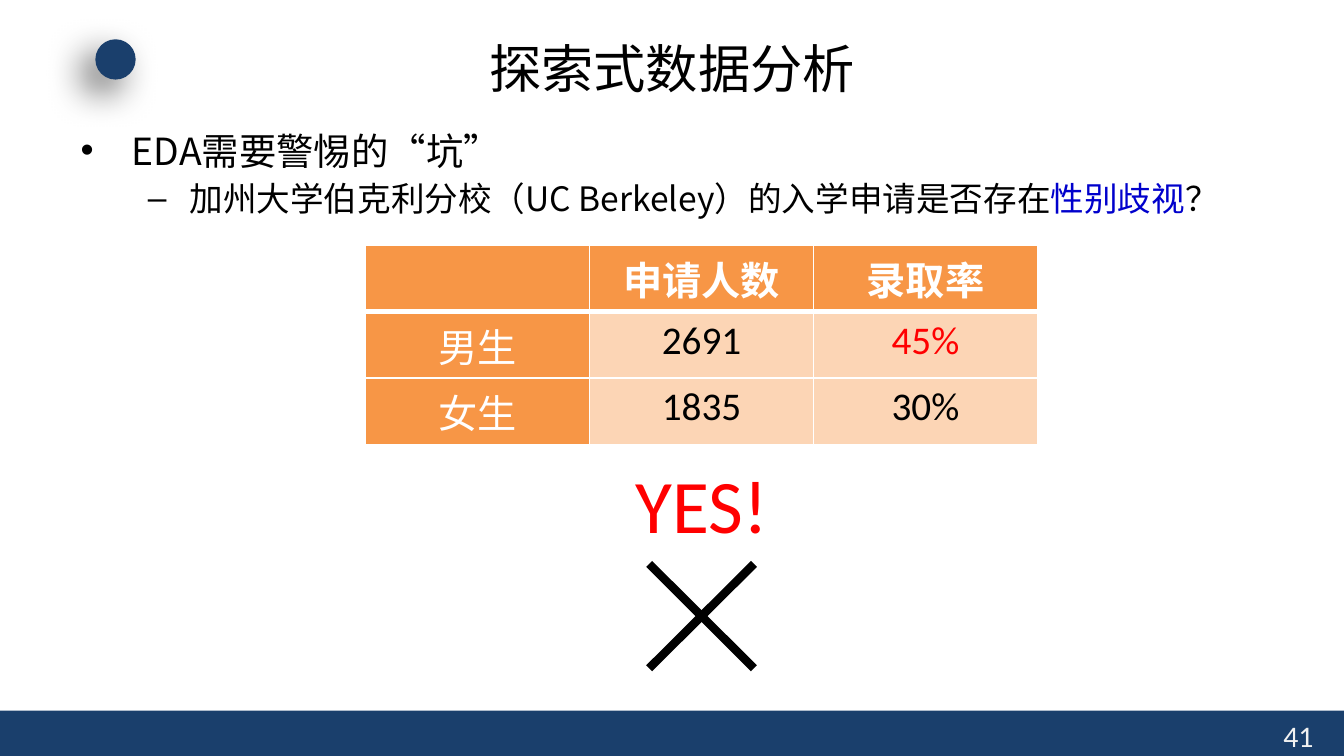
"""Builds a slide on a pitfall of exploratory data analysis."""
import dataclasses
import typing

import lxml.etree
import pptx
import pptx.dml.color
import pptx.enum.shapes
import pptx.enum.text
import pptx.oxml.ns
import pptx.util

WIDTH = 10
HEIGHT = WIDTH * 9 / 16
COLOURS = {
    "navy": "1A3F6C", "black": "000000", "white": "FFFFFF", "pale": "F2F2F2",
    "blue": "0000CC", "red": "FF0000", "orange": "F79646", "peach": "FCD5B5",
}
HAN, LATIN = "Noto Sans CJK SC", "Calibri"
CENTER = pptx.enum.text.PP_ALIGN.CENTER
Inches, Pt, qn = pptx.util.Inches, pptx.util.Pt, pptx.oxml.ns.qn


@dataclasses.dataclass(frozen=True)
class Area:
    """Left, top, width and height in percent of the slide's size."""
    left: float
    top: float
    width: float
    height: float

    def lengths(self) -> tuple:
        return (Inches(self.left * WIDTH / 100), Inches(self.top * HEIGHT / 100),
                Inches(self.width * WIDTH / 100), Inches(self.height * HEIGHT / 100))


@dataclasses.dataclass(frozen=True)
class Words:
    text: str
    size: float
    colour: str = "black"
    font: str = HAN
    bold: bool = False


@dataclasses.dataclass(frozen=True)
class Point:
    bullet: str
    level: int
    margin: float
    hanging: float
    words: tuple


POINTS = (
    Point("•", 0, 0.38, 0.38, (Words("EDA需要警惕的“坑”", 20),)),
    Point("–", 1, 0.81, 0.31, (
        Words("加州大学伯克利分校（UC Berkeley）的入学申请是否存在", 18),
        Words("性别歧视", 18, "blue"),
        Words("？", 18))),
)
ADMISSIONS = (("", "申请人数", "录取率"), ("男生", "2691", "45%"), ("女生", "1835", "30%"))


def rgb(name: str) -> pptx.dml.color.RGBColor:
    return pptx.dml.color.RGBColor.from_string(COLOURS[name])


def child(parent: typing.Any, tag: str, **attributes: typing.Any) -> typing.Any:
    values = {key: str(value) for key, value in attributes.items()}
    return lxml.etree.SubElement(parent, qn(tag), values)


def write(paragraph: typing.Any, words: Words) -> None:
    run = paragraph.add_run()
    run.text = words.text
    run.font.size, run.font.bold, run.font.name = Pt(words.size), words.bold, words.font
    run.font.color.rgb = rgb(words.colour)
    child(run.font._element, "a:ea", typeface=HAN)


def place(shape: typing.Any, area: Area) -> None:
    shape.left, shape.top, shape.width, shape.height = area.lengths()


def draw_shape(slide: typing.Any, kind: typing.Any, area: Area) -> typing.Any:
    shape = slide.shapes.add_shape(kind, *area.lengths())
    shape.shadow.inherit = False
    shape.fill.solid()
    shape.fill.fore_color.rgb = rgb("navy")
    shape.line.fill.background()
    return shape


def draw_text(slide: typing.Any, area: Area, words: Words, align: typing.Any) -> None:
    frame = slide.shapes.add_textbox(*area.lengths()).text_frame
    frame.word_wrap = True
    frame.paragraphs[0].alignment = align
    write(frame.paragraphs[0], words)


def draw_decoration(slide: typing.Any) -> None:
    kinds = pptx.enum.shapes.MSO_SHAPE
    draw_shape(slide, kinds.RECTANGLE, Area(0, 94, 100, 6))
    draw_text(slide, Area(94.5, 94, 5, 5.3),
              Words("41", 16, "pale", LATIN), pptx.enum.text.PP_ALIGN.LEFT)
    dot = draw_shape(slide, kinds.OVAL, Area(7.1, 5.2, 3, 5.33))
    effects = dot._element.spPr.find(qn("a:effectLst"))
    shadow = child(effects, "a:outerShdw", blurRad=Pt(20), dist=Pt(10),
                   dir=135 * 60000, algn="ctr", rotWithShape=0)
    child(child(shadow, "a:srgbClr", val=COLOURS["black"]), "a:alpha", val=60000)


def fill_title(slide: typing.Any) -> None:
    title = slide.shapes.title
    place(title, Area(5, 4, 90, 9.8))
    title.text_frame.auto_size = pptx.enum.text.MSO_AUTO_SIZE.NONE
    title.text_frame.vertical_anchor = pptx.enum.text.MSO_ANCHOR.MIDDLE
    title.text_frame.paragraphs[0].alignment = CENTER
    write(title.text_frame.paragraphs[0], Words("探索式数据分析", 28))


def fill_points(slide: typing.Any) -> None:
    body = slide.placeholders[1]
    place(body, Area(5, 16, 90, 76.6))
    frame = body.text_frame
    frame.auto_size = pptx.enum.text.MSO_AUTO_SIZE.NONE
    for order, point in enumerate(POINTS):
        paragraph = frame.add_paragraph() if order else frame.paragraphs[0]
        paragraph.level = point.level
        paragraph.line_spacing = 1.0
        paragraph.space_before = Pt(3 * order)
        properties = paragraph._p.get_or_add_pPr()
        properties.set("marL", str(Inches(point.margin)))
        properties.set("indent", str(-Inches(point.hanging)))
        child(properties, "a:buFont", typeface="Arial")
        child(properties, "a:buChar", char=point.bullet)
        for words in point.words:
            write(paragraph, words)


def border(cell: typing.Any, side: str, width: float) -> None:
    line = child(cell._tc.get_or_add_tcPr(), f"a:ln{side}", w=Pt(width))
    child(child(line, "a:solidFill"), "a:srgbClr", val=COLOURS["white"])


def draw_admissions(slide: typing.Any, area: Area) -> None:
    table = slide.shapes.add_table(3, 3, *area.lengths()).table
    for row, entries in enumerate(ADMISSIONS):
        for column, entry in enumerate(entries):
            cell = table.cell(row, column)
            heading = row == 0 or column == 0
            colour = "white" if heading else "red" if entry == "45%" else "black"
            cell.margin_left = cell.margin_right = Inches(0.07)
            cell.margin_top = cell.margin_bottom = Inches(0.04)
            widths = {"L": 1, "R": 1, "T": 3 if row == 1 else 1, "B": 3 if row == 0 else 1}
            for side, width in widths.items():
                border(cell, side, width)
            cell.fill.solid()
            cell.fill.fore_color.rgb = rgb("orange" if heading else "peach")
            if entry:
                cell.text_frame.paragraphs[0].alignment = CENTER
                write(cell.text_frame.paragraphs[0], Words(entry, 21, colour, LATIN, row == 0))


def draw_cross(slide: typing.Any, area: Area) -> None:
    left, top, width, height = area.lengths()
    for start, end in ((left + width, left), (left, left + width)):
        stroke = slide.shapes.add_connector(
            pptx.enum.shapes.MSO_CONNECTOR.STRAIGHT, start, top, end, top + height)
        stroke.line.color.rgb = rgb("black")
        stroke.line.width = Pt(4.5)
        child(stroke._element.spPr, "a:effectLst")


def main() -> None:
    deck = pptx.Presentation()
    deck.slide_width, deck.slide_height = Inches(WIDTH), Inches(HEIGHT)
    slide = deck.slides.add_slide(deck.slide_layouts[1])
    draw_decoration(slide)
    fill_title(slide)
    fill_points(slide)
    draw_admissions(slide, Area(27.2, 32.4, 50, 26.4))
    draw_text(slide, Area(27.2, 59.7, 50, 13.9), Words("YES!", 40.5, "red", LATIN), CENTER)
    draw_cross(slide, Area(48.3, 74.6, 7.8, 13.8))
    deck.save("out.pptx")


if __name__ == "__main__":
    main()
